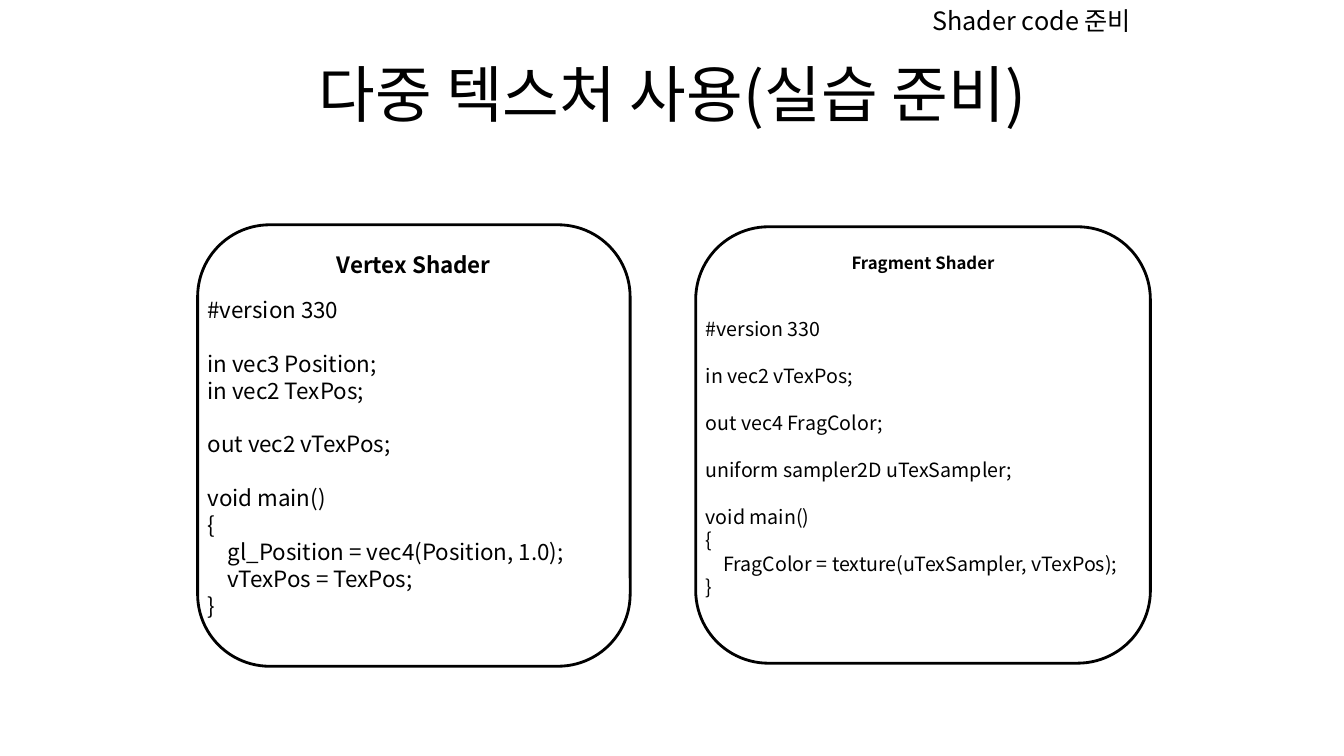
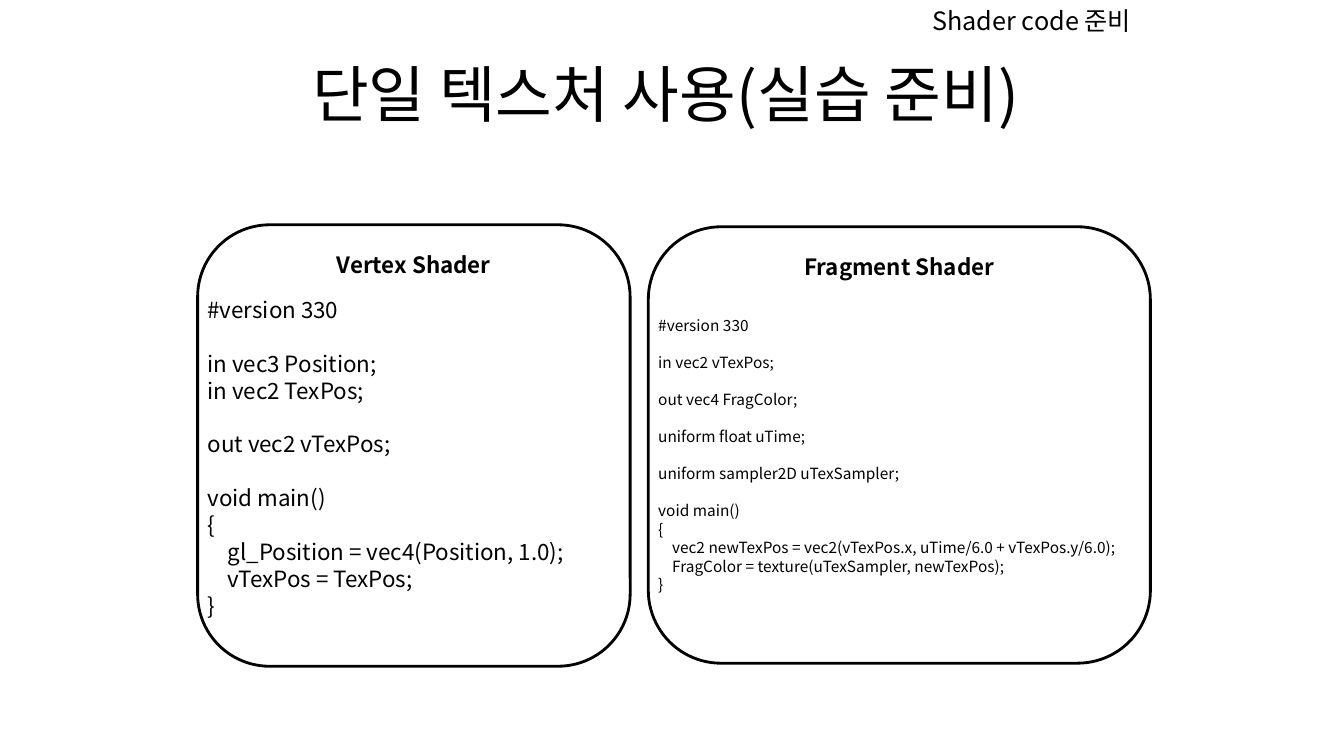
from dataclasses import dataclass

from lxml import etree
from pptx import Presentation
from pptx.dml.color import RGBColor
from pptx.enum import shapes, text
from pptx.oxml import ns
from pptx.util import Inches, Pt

# Content: each code listing is a list of blocks, each block a list of lines
CAPTION = "Shader code 준비"
VERTEX = [
    ["#version 330"],
    ["in vec3 Position;", "in vec2 TexPos;"],
    ["out vec2 vTexPos;"],
    ["void main()", "{", "\tgl_Position = vec4(Position, 1.0);",
     "\tvTexPos = TexPos;", "}"],
]
FRAGMENT_MULTI = [
    ["#version 330"],
    ["in vec2 vTexPos;"],
    ["out vec4 FragColor;"],
    ["uniform sampler2D uTexSampler;"],
    ["void main()", "{", "\tFragColor = texture(uTexSampler, vTexPos);", "}"],
]
FRAGMENT_SINGLE = [
    ["#version 330"],
    ["in vec2 vTexPos;"],
    ["out vec4 FragColor;"],
    ["uniform float uTime;"],
    ["uniform sampler2D uTexSampler;"],
    ["void main()", "{",
     "\tvec2 newTexPos = vec2(vTexPos.x, uTime/6.0 + vTexPos.y/6.0);",
     "\tFragColor = texture(uTexSampler, newTexPos);", "}"],
]
# Panel: heading, heading size, code, code size, panel box, code top and height
VERTEX_PANEL = ("Vertex Shader", 16, VERTEX, 16, (1.96, 2.23, 4.29, 4.38), (2.89, 3.33))
SLIDES = [
    ("다중 텍스처 사용(실습 준비)", [
        ("Fragment Shader", 12, FRAGMENT_MULTI, 14, (6.9, 2.25, 4.51, 4.33), (3.09, 2.93)),
        VERTEX_PANEL]),
    ("단일 텍스처 사용(실습 준비) ", [
        ("Fragment Shader", 16, FRAGMENT_SINGLE, 11, (6.43, 2.25, 4.98, 4.33), (3.09, 2.88)),
        VERTEX_PANEL]),
]


@dataclass(frozen=True)
class Theme:
    font: str = "Noto Sans CJK KR"
    ink: RGBColor = RGBColor(0, 0, 0)
    paper: RGBColor = RGBColor(255, 255, 255)
    title: int = 44
    caption: int = 18
    outline: int = 2
    leading: float = 1.2   # line pitch per point of type
    indent: float = 0.9    # code indent per point of type


T = Theme()
TITLE_BOX = (0.67, 0.3, 12, 1.25)
CAPTION_BOX = (9.15, 0, 2.52, 0.4)


def inches(box):
    return [Inches(v) for v in box]


def add_run(p, words, size, bold=False):
    r = p.add_run()
    r.text = words
    r.font.size, r.font.bold, r.font.name = Pt(size), bold, T.font
    r.font.color.rgb = T.ink
    etree.SubElement(r.font._element, ns.qn("a:ea"), typeface=T.font)


def add_line(p, words, size, bold=False):
    p.line_spacing = Pt(T.leading * size)
    add_run(p, words, size, bold)


def add_text_box(s, box):
    tf = s.shapes.add_textbox(*inches(box)).text_frame
    tf.word_wrap = True
    return tf


def add_title(s, words):
    sp = s.shapes.title
    sp.left, sp.top, sp.width, sp.height = inches(TITLE_BOX)
    tf = sp.text_frame
    tf.auto_size = text.MSO_AUTO_SIZE.NONE
    tf.vertical_anchor = text.MSO_ANCHOR.MIDDLE
    p = tf.paragraphs[0]
    p.alignment = text.PP_ALIGN.CENTER
    add_run(p, words, T.title)


def add_code(s, blocks, size, box):
    tf = add_text_box(s, box)
    p = tf.paragraphs[0]
    for b, block in enumerate(blocks):
        for n, line in enumerate(block):
            if b or n:
                p = tf.add_paragraph()
            if b and not n:
                p.space_before = Pt(T.leading * size)
            if line.startswith("\t"):
                p._p.get_or_add_pPr().set("marL", str(Pt(T.indent * size)))
            add_line(p, line.strip(), size)


def add_panel(s, heading, heading_size, code, code_size, box, code_span):
    sp = s.shapes.add_shape(shapes.MSO_SHAPE.ROUNDED_RECTANGLE, *inches(box))
    sp.shadow.inherit = False
    sp.fill.solid()
    sp.fill.fore_color.rgb = T.paper
    sp.line.color.rgb = T.ink
    sp.line.width = Pt(T.outline)
    tf = sp.text_frame
    tf.word_wrap = True
    tf.vertical_anchor = text.MSO_ANCHOR.TOP
    p = tf.paragraphs[0]
    p.alignment = text.PP_ALIGN.CENTER
    add_line(p, heading, heading_size, bold=True)
    # Code lines up with the panel's sides
    left, _, width, _ = box
    top, height = code_span
    add_code(s, code, code_size, (left, top, width, height))


# Build the slides
prs = Presentation()
prs.slide_width, prs.slide_height = Inches(13.33), Inches(7.5)
for title, panels in SLIDES:
    s = prs.slides.add_slide(prs.slide_layouts[5])
    add_title(s, title)
    for panel in panels:
        add_panel(s, *panel)
    add_line(add_text_box(s, CAPTION_BOX).paragraphs[0], CAPTION, T.caption)
prs.save("out.pptx")
